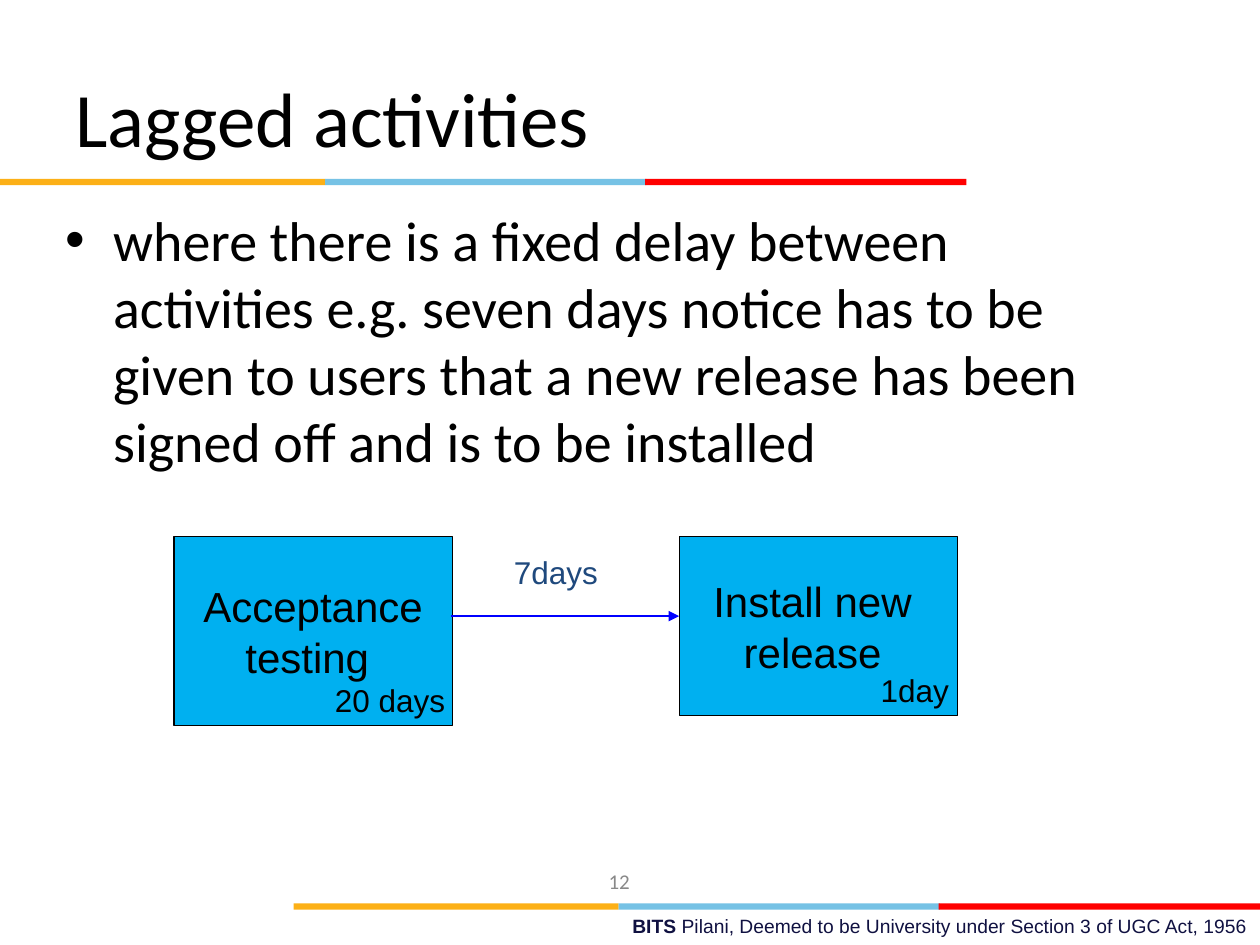
from dataclasses import dataclass

from lxml.etree import SubElement
from pptx import Presentation
from pptx.dml.color import RGBColor
from pptx.enum.shapes import MSO_CONNECTOR, MSO_SHAPE
from pptx.enum.text import MSO_ANCHOR, MSO_AUTO_SIZE, PP_ALIGN
from pptx.oxml.ns import qn
from pptx.util import Inches, Pt


@dataclass(frozen=True)
class Theme:
    heading_font: str = "Calibri"
    label_font: str = "Arial"
    black: str = "000000"
    navy: str = "101141"
    grey: str = "898989"
    lag: str = "1F497D"
    arrow: str = "0000FF"
    activity: str = "00B0F0"
    stripes: tuple = (("FCB017", 0, 2.58), ("76C2E5", 2.58, 2.55), ("FF0000", 5.12, 2.55))
    title_size: int = 44
    body_size: int = 32
    activity_size: int = 24
    label_size: int = 18
    number_size: int = 12
    footer_size: int = 11
    line_width: float = 0.75


THEME = Theme()


def color(value):
    return RGBColor.from_string(value)


def write_text(para, text, size, font=THEME.label_font, fill=THEME.black, bold=False):
    span = para.add_run()
    span.text = text
    span.font.size = Pt(size)
    span.font.name = font
    span.font.bold = bold
    span.font.color.rgb = color(fill)


def add_text_box(page, left, top, width, height, align=PP_ALIGN.LEFT,
                 anchor=MSO_ANCHOR.TOP, wrap=True):
    box = page.shapes.add_textbox(Inches(left), Inches(top), Inches(width), Inches(height))
    frame = box.text_frame
    frame.word_wrap = wrap
    frame.auto_size = MSO_AUTO_SIZE.NONE if wrap else MSO_AUTO_SIZE.SHAPE_TO_FIT_TEXT
    frame.vertical_anchor = anchor
    para = frame.paragraphs[0]
    para.alignment = align
    return para


def add_rectangle(page, left, top, width, height, fill):
    box = page.shapes.add_shape(
        MSO_SHAPE.RECTANGLE, Inches(left), Inches(top), Inches(width), Inches(height))
    box.shadow.inherit = False
    box.fill.solid()
    box.fill.fore_color.rgb = color(fill)
    box.line.fill.background()
    return box


def add_stripes(page, left, top):
    for fill, offset, width in THEME.stripes:
        add_rectangle(page, left + offset, top, width, 0.05, fill)


def add_bullet(para, indent):
    properties = para._p.get_or_add_pPr()
    properties.set("marL", str(Inches(indent)))
    properties.set("indent", str(-Inches(indent)))
    SubElement(properties, qn("a:buFont"), typeface="Arial")
    SubElement(properties, qn("a:buChar"), char="•")


def add_activity(page, left, height, lines):
    box = add_rectangle(page, left, 4.26, 2.21, height, THEME.activity)
    box.line.color.rgb = color(THEME.black)
    box.line.width = Pt(THEME.line_width)
    frame = box.text_frame
    frame.word_wrap = False
    frame.vertical_anchor = MSO_ANCHOR.MIDDLE
    for index, text in enumerate(lines):
        para = frame.add_paragraph() if index else frame.paragraphs[0]
        para.alignment = PP_ALIGN.CENTER
        write_text(para, text, THEME.activity_size)


def add_label(page, left, top, width, text, fill=THEME.black):
    para = add_text_box(page, left, top, width, 0.4, wrap=False)
    write_text(para, text, THEME.label_size, fill=fill)


def add_arrow(page, left, right, top):
    arrow = page.shapes.add_connector(
        MSO_CONNECTOR.STRAIGHT, Inches(left), Inches(top), Inches(right), Inches(top))
    arrow.line.color.rgb = color(THEME.arrow)
    arrow.line.width = Pt(THEME.line_width)
    SubElement(arrow.line._get_or_add_ln(), qn("a:tailEnd"), type="triangle")
    SubElement(arrow._element.spPr, qn("a:effectLst"))


def add_footer(page):
    para = add_text_box(page, 3.58, 7.21, 6.42, 0.29, align=PP_ALIGN.RIGHT)
    write_text(para, "BITS ", THEME.footer_size, fill=THEME.navy, bold=True)
    write_text(para, "Pilani, Deemed to be University under Section 3 of UGC Act, 1956",
               THEME.footer_size, fill=THEME.navy)
    add_stripes(page, 2.33, 7.17)
    number = add_text_box(page, 2.83, 6.79, 4.17, 0.4,
                          align=PP_ALIGN.CENTER, anchor=MSO_ANCHOR.MIDDLE)
    write_text(number, "12", THEME.number_size, font=THEME.heading_font, fill=THEME.grey)


def add_heading(page):
    add_stripes(page, 0, 1.42)
    title = add_text_box(page, 0.5, 0.3, 9, 1.25, anchor=MSO_ANCHOR.MIDDLE)
    write_text(title, "Lagged activities", THEME.title_size, font=THEME.heading_font)


def add_body(page):
    para = add_text_box(page, 0.42, 1.58, 8.5, 2.57)
    add_bullet(para, 0.38)
    write_text(para, "where there is a fixed delay between activities e.g. seven days "
                     "notice has to be given to users that a new release has been "
                     "signed off and is to be installed",
               THEME.body_size, font=THEME.heading_font)


def add_network(page):
    add_activity(page, 1.38, 1.5, ("Acceptance", "testing "))
    add_activity(page, 5.39, 1.42, ("Install new ", "release "))
    add_arrow(page, 3.58, 5.39, 4.89)
    add_label(page, 3.98, 4.34, 0.88, "7days", fill=THEME.lag)
    add_label(page, 2.56, 5.36, 1.09, "20 days")
    add_label(page, 6.89, 5.28, 0.76, "1day")


def main():
    deck = Presentation()
    deck.slide_width = Inches(10)
    deck.slide_height = Inches(7.5)
    page = deck.slides.add_slide(deck.slide_layouts[6])
    add_footer(page)
    add_heading(page)
    add_body(page)
    add_network(page)
    deck.save("out.pptx")


if __name__ == "__main__":
    main()
